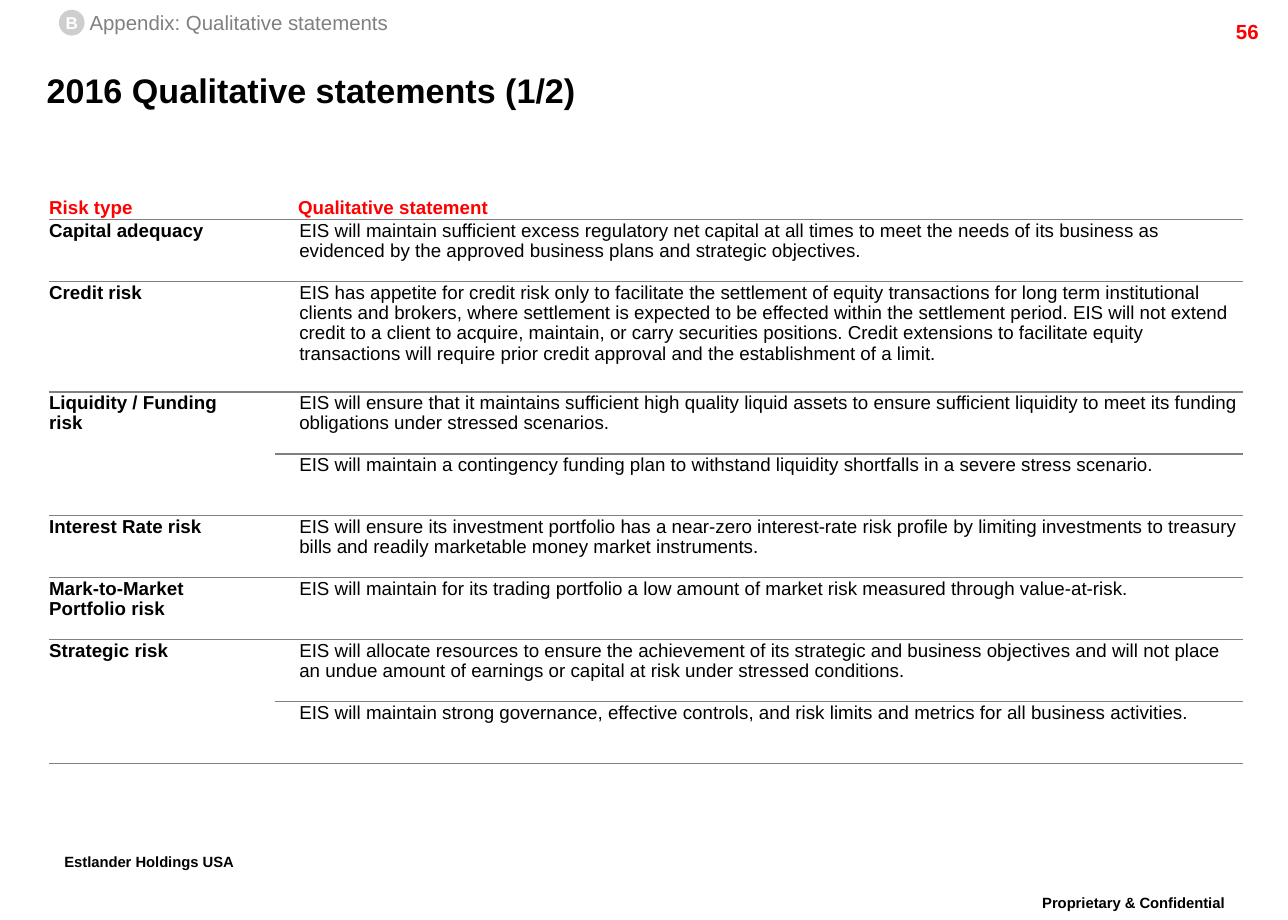
from dataclasses import dataclass

from lxml import etree
from pptx import Presentation
from pptx import util as u
from pptx.dml.color import RGBColor
from pptx.enum import shapes, text
from pptx.oxml import ns


@dataclass(frozen=True)
class Theme:
    """Colours and type sizes of the deck."""
    font: str = "Arial"
    black: str = "000000"
    white: str = "FFFFFF"
    red: str = "FF0000"
    grey: str = "808080"
    badge: str = "CECECE"
    title: int = 20
    footer: int = 15
    label: int = 12
    table: int = 11
    letter: int = 10


THEME = Theme()
ALIGN = text.PP_ALIGN
ANCHOR = text.MSO_ANCHOR
NO_GRID_STYLE = "{2D5ABB26-0587-4C30-8999-92F81FD0307C}"
STATEMENTS = [
    ("Capital adequacy", [
        "EIS will maintain sufficient excess regulatory net capital at all times to meet the needs "
        "of its business as evidenced by the approved business plans and strategic objectives."]),
    ("Credit risk", [
        "EIS has appetite for credit risk only to facilitate the settlement of equity transactions "
        "for long term institutional clients and brokers, where settlement is expected to be "
        "effected within the settlement period. EIS will not extend credit to a client to acquire, "
        "maintain, or carry securities positions. Credit extensions to facilitate equity "
        "transactions will require prior credit approval and the establishment of a limit."]),
    ("Liquidity / Funding\vrisk", [
        "EIS will ensure that it maintains sufficient high quality liquid assets to ensure "
        "sufficient liquidity to meet its funding obligations under stressed scenarios.",
        "EIS will maintain a contingency funding plan to withstand liquidity shortfalls in a "
        "severe stress scenario."]),
    ("Interest Rate risk", [
        "EIS will ensure its investment portfolio has a near-zero interest-rate risk profile by "
        "limiting investments to treasury bills and readily marketable money market instruments."]),
    ("Mark-to-Market\vPortfolio risk", [
        "EIS will maintain for its trading portfolio a low amount of market risk measured through "
        "value-at-risk."]),
    ("Strategic risk", [
        "EIS will allocate resources to ensure the achievement of its strategic and business "
        "objectives and will not place an undue amount of earnings or capital at risk under "
        "stressed conditions.",
        "EIS will maintain strong governance, effective controls, and risk limits and metrics for "
        "all business activities."]),
]


def assign(target, values):
    """Set every attribute named in values on target."""
    for name, value in values.items():
        setattr(target, name, value)


def inches(box):
    """Turn a box of numbers into lengths."""
    return [u.Inches(length) for length in box]


def margins(left=0, top=0, right=0, bottom=0):
    """Give the four insets as format values."""
    return {"margin_left": u.Inches(left), "margin_top": u.Inches(top),
            "margin_right": u.Inches(right), "margin_bottom": u.Inches(bottom)}


def write(frame, words, size, color, bold=False, align=ALIGN.LEFT, spacing=None):
    """Fill a text frame with one formatted paragraph."""
    frame.text = words
    paragraph = frame.paragraphs[0]
    assign(paragraph, {"alignment": align, "line_spacing": spacing, "space_before": u.Pt(0)})
    for run in paragraph.runs:
        assign(run.font, {"name": THEME.font, "size": u.Pt(size), "bold": bold})
        run.font.color.rgb = RGBColor.from_string(color)
    return paragraph


def add_title(slide, box):
    """Place the slide title."""
    title = slide.shapes.title
    assign(title, dict(zip(("left", "top", "width", "height"), inches(box))))
    assign(title.text_frame, {**margins(), "vertical_anchor": ANCHOR.MIDDLE, "word_wrap": True,
                              "auto_size": text.MSO_AUTO_SIZE.NONE})
    write(title.text_frame, "2016 Qualitative statements (1/2)", THEME.title, THEME.black, True)


def add_section_tag(slide, box):
    """Place the lettered badge and the section name beside it."""
    left, top, width, height = box
    tag = slide.shapes.add_group_shape()
    badge = tag.shapes.add_shape(shapes.MSO_SHAPE.OVAL, *inches((left, top, height, height)))
    badge.shadow.inherit = False
    badge.fill.solid()
    badge.fill.fore_color.rgb = RGBColor.from_string(THEME.badge)
    badge.line.fill.background()
    section = tag.shapes.add_textbox(*inches((left + 0.25, top, width - 0.25, height)))
    for part in (badge, section):
        assign(part.text_frame, {**margins(), "vertical_anchor": ANCHOR.MIDDLE, "word_wrap": False})
    write(badge.text_frame, "B", THEME.letter, THEME.white, True, ALIGN.CENTER)
    write(section.text_frame, "Appendix: Qualitative statements", THEME.label, THEME.grey)


def add_page_number(slide, box):
    """Place the page number."""
    number = slide.shapes.add_textbox(*inches(box))
    number.text_frame.word_wrap = True
    write(number.text_frame, "56", THEME.label, THEME.red, True, ALIGN.RIGHT)


def add_footer(slide, box, words, wrap):
    """Place a raised footer line."""
    footer = slide.shapes.add_textbox(*inches(box))
    footer.text_frame.word_wrap = wrap
    line = write(footer.text_frame, words, THEME.footer, THEME.black, True, ALIGN.CENTER, 0.86)
    line.runs[0].font._element.set("baseline", "30000")


def rule_below(cell):
    """Draw a grey line under a cell."""
    properties = cell._tc.get_or_add_tcPr()
    rule = etree.Element(ns.qn("a:lnB"), w=str(u.Pt(1)))
    fill = etree.SubElement(rule, ns.qn("a:solidFill"))
    etree.SubElement(fill, ns.qn("a:srgbClr"), val=THEME.grey)
    properties.insert(0, rule)


def fill_cell(cell, words, color, bold, inset, anchor=ANCHOR.TOP):
    """Write and format one table cell."""
    assign(cell, {**margins(inset, 0.01, 0.01), "vertical_anchor": anchor})
    write(cell.text_frame, words, THEME.table, color, bold, spacing=0.98)


def add_statement_table(slide, box):
    """Place the risk types and their statements."""
    heights = [0.19] + [0.9 if risk == "Credit risk" else 0.505
                        for risk, lines in STATEMENTS for _ in lines]
    frame = slide.shapes.add_table(len(heights), 2, *inches(box))
    table = frame.table
    table.horz_banding = False
    table._tbl.tblPr.find(ns.qn("a:tableStyleId")).text = NO_GRID_STYLE
    for column, width in zip(table.columns, (1.84, box[2] - 1.84)):
        column.width = u.Inches(width)
    for row, height in zip(table.rows, heights):
        row.height = u.Inches(height)
    for cell in table.iter_cells():
        cell.fill.solid()
        cell.fill.fore_color.rgb = RGBColor.from_string(THEME.white)
        rule_below(cell)
    for column, heading in enumerate(("Risk type", "Qualitative statement")):
        fill_cell(table.cell(0, column), heading, THEME.red, True, 0.19 * column, ANCHOR.MIDDLE)
    row = 1
    for risk, lines in STATEMENTS:
        last = row + len(lines) - 1
        if last > row:
            table.cell(row, 0).merge(table.cell(last, 0))
        fill_cell(table.cell(row, 0), risk, THEME.black, True, 0)
        for offset, statement in enumerate(lines):
            fill_cell(table.cell(row + offset, 1), statement, THEME.black, False, 0.2)
        row = last + 1


def main():
    """Build and save the slide."""
    deck = Presentation()
    assign(deck, {"slide_width": u.Inches(10.5), "slide_height": u.Inches(7.5)})
    slide = deck.slides.add_slide(deck.slide_layouts[5])
    add_footer(slide, (8.15, 7.25, 2.18, 0.35), "Proprietary & Confidential", True)
    add_footer(slide, (0.26, 6.91, 1.91, 0.35), "Estlander Holdings USA", False)
    add_page_number(slide, (9.36, 0.11, 1, 0.24))
    add_statement_table(slide, (0.4, 1.6, 9.73, 4.64))
    add_title(slide, (0.38, 0.49, 9.48, 0.48))
    add_section_tag(slide, (0.48, 0.08, 2.7, 0.21))
    deck.save("out.pptx")


if __name__ == "__main__":
    main()
